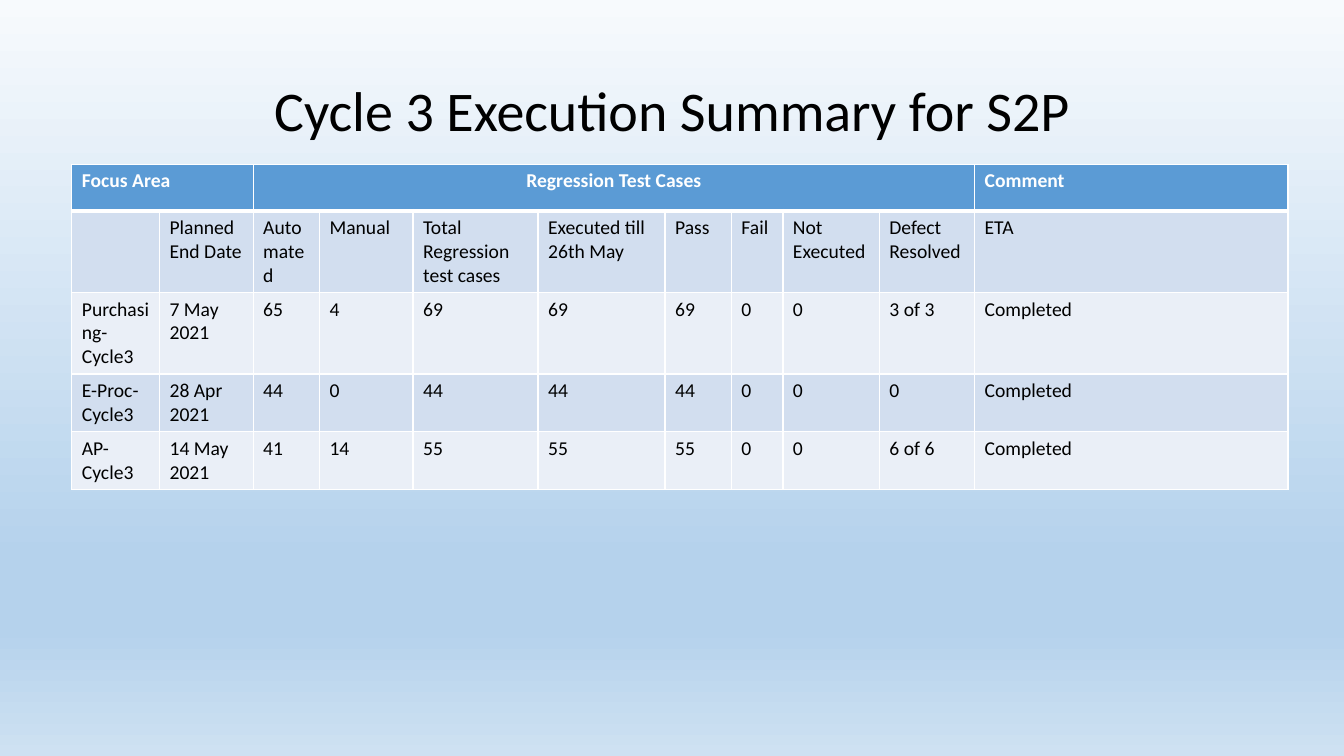
from pptx import Presentation
from pptx import util as u
from pptx.dml.color import RGBColor
from pptx.enum import text
from pptx.oxml.ns import qn
from lxml import etree

TITLE = "Cycle 3 Execution Summary for S2P"
# First column, last column, wording, alignment
HEADER_GROUPS = [
    (0, 1, "Focus Area", text.PP_ALIGN.LEFT),
    (2, 9, "Regression Test Cases", text.PP_ALIGN.CENTER),
    (10, 10, "Comment", text.PP_ALIGN.LEFT),
]
BODY_ROWS = [
    ["", "Planned End Date", "Automated", "Manual", "Total Regression test cases",
     "Executed till 26th May", "Pass", "Fail", "Not Executed", "Defect Resolved", "ETA"],
    ["Purchasing-Cycle3", "7 May 2021", "65", "4", "69", "69", "69", "0", "0",
     "3 of 3", "Completed"],
    ["E-Proc-Cycle3", "28 Apr 2021", "44", "0", "44", "44", "44", "0", "0",
     "0", "Completed"],
    ["AP-Cycle3", "14 May 2021", "41", "14", "55", "55", "55", "0", "0",
     "6 of 6", "Completed"],
]
COLUMN_WIDTHS = [2.21, 2.36, 1.67, 2.36, 3.15, 3.2, 1.67, 1.3, 2.43, 2.4, 7.9]
ROW_HEIGHTS = [1.17, 1.73, 1.73, 1.24, 1.24]
BACKGROUND_STOPS = [(0, "F7FAFD"), (74, "B5D2EC"), (83, "B5D2EC"), (100, "CEE1F2")]
HEADER_FILL = "5B9BD5"
BAND_FILLS = ["D2DEEF", "EAEFF7"]
WHITE, BLACK = "FFFFFF", "000000"
FONT = "Calibri"


def color(value):
    """Turn a hex string into a colour."""
    return RGBColor.from_string(value)


def write(frame, wording, size=14, ink=BLACK, bold=False,
          align=text.PP_ALIGN.LEFT, line_spacing=None):
    """Put one formatted paragraph in a text frame."""
    paragraph = frame.paragraphs[0]
    paragraph.alignment = align
    paragraph.line_spacing = line_spacing
    paragraph.font.size = u.Pt(size)
    if wording:
        run = paragraph.add_run()
        run.text = wording
        run.font.name = FONT
        run.font.size = u.Pt(size)
        run.font.bold = bold
        run.font.color.rgb = color(ink)


def add_solid(parent, value):
    """Add a solid fill element."""
    solid = etree.SubElement(parent, qn("a:solidFill"))
    etree.SubElement(solid, qn("a:srgbClr"), val=value)


def style_cell(cell, fill, top=1, bottom=1):
    """Give a cell its fill and white borders, in points."""
    properties = cell._tc.get_or_add_tcPr()
    for side, width in (("L", 1), ("R", 1), ("T", top), ("B", bottom)):
        line = etree.SubElement(properties, qn(f"a:ln{side}"), w=str(u.Pt(width)))
        add_solid(line, WHITE)
    cell.fill.solid()
    cell.fill.fore_color.rgb = color(fill)


def paint_background(slide):
    """Fill the slide with the vertical gradient."""
    fill = slide.background.fill
    fill.gradient()
    fill.gradient_angle = 270
    stops = next(slide.element.iter(qn("a:gsLst")))
    for stop in list(stops):
        stops.remove(stop)
    for percent, value in BACKGROUND_STOPS:
        stop = etree.SubElement(stops, qn("a:gs"), pos=str(percent * 1000))
        etree.SubElement(stop, qn("a:srgbClr"), val=value)


def add_title(slide):
    """Place and write the title."""
    title = slide.shapes.title
    title.left, title.top = u.Cm(2.33), u.Cm(1.01)
    title.width, title.height = u.Cm(29.21), u.Cm(3.68)
    title.text_frame.vertical_anchor = text.MSO_ANCHOR.MIDDLE
    write(title.text_frame, TITLE, size=40, align=text.PP_ALIGN.CENTER, line_spacing=0.9)


def add_summary_table(slide):
    """Build the table of test results."""
    table = slide.shapes.add_table(
        len(ROW_HEIGHTS), len(COLUMN_WIDTHS), u.Cm(1.81), u.Cm(4.14),
        u.Cm(sum(COLUMN_WIDTHS)), u.Cm(sum(ROW_HEIGHTS))).table
    for column, width in zip(table.columns, COLUMN_WIDTHS):
        column.width = u.Cm(width)
    for row, height in zip(table.rows, ROW_HEIGHTS):
        row.height = u.Cm(height)

    for cell in table.rows[0].cells:
        style_cell(cell, HEADER_FILL, bottom=3)
    for first, last, wording, align in HEADER_GROUPS:
        cell = table.cell(0, first)
        if last > first:
            cell.merge(table.cell(0, last))
        write(cell.text_frame, wording, ink=WHITE, bold=True, align=align)

    for index, values in enumerate(BODY_ROWS):
        for cell, wording in zip(table.rows[index + 1].cells, values):
            style_cell(cell, BAND_FILLS[index % 2], top=1 if index else 3)
            write(cell.text_frame, wording)


presentation = Presentation()
presentation.slide_width, presentation.slide_height = u.Cm(33.87), u.Cm(19.05)
slide = presentation.slides.add_slide(presentation.slide_layouts[5])
paint_background(slide)
add_title(slide)
add_summary_table(slide)
presentation.save("out.pptx")
